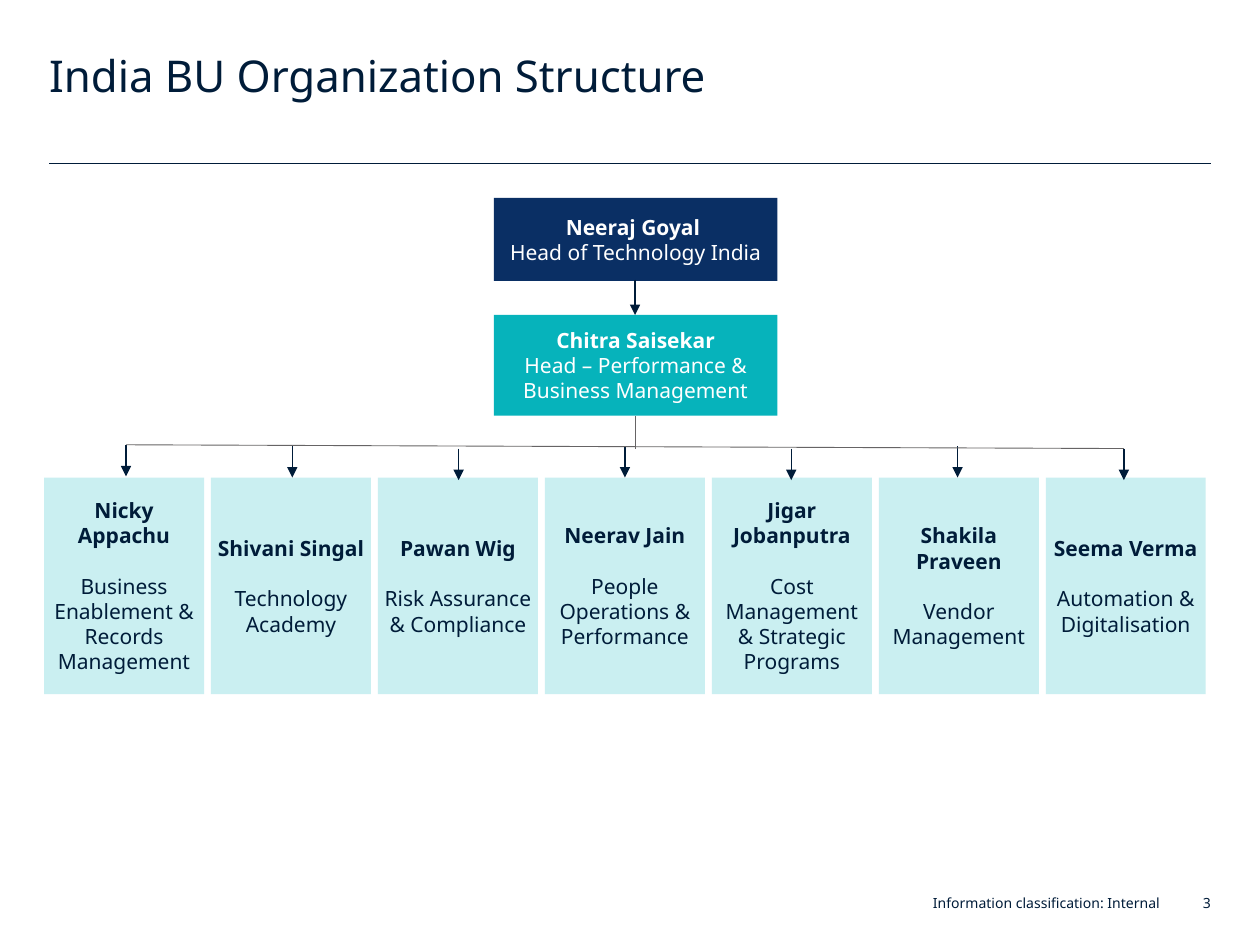
from lxml import etree
from pptx import Presentation
from pptx.dml.color import RGBColor
from pptx.enum.shapes import MSO_CONNECTOR, MSO_SHAPE
from pptx.enum.text import MSO_ANCHOR, PP_ALIGN
from pptx.oxml.ns import qn
from pptx.util import Inches, Pt

INK = RGBColor(0x00, 0x1C, 0x39)
NAVY = RGBColor(0x0A, 0x2F, 0x64)
TEAL = RGBColor(0x06, 0xB3, 0xBB)
PALE = RGBColor(0xCA, 0xEF, 0xF1)
GREY = RGBColor(0x66, 0x64, 0x65)
WHITE = RGBColor(0xFF, 0xFF, 0xFF)
LEFT, CENTER, RIGHT = PP_ALIGN.LEFT, PP_ALIGN.CENTER, PP_ALIGN.RIGHT
TOP, MIDDLE, BOTTOM = MSO_ANCHOR.TOP, MSO_ANCHOR.MIDDLE, MSO_ANCHOR.BOTTOM
STRAIGHT, RECTANGLE = MSO_CONNECTOR.STRAIGHT, MSO_SHAPE.RECTANGLE

# Name, role and height at which the arrow leaves the branch line
TEAMS = [
    ("Nicky Appachu", "Business Enablement & Records Management", 3.53),
    ("Shivani Singal", "Technology Academy", 3.54),
    ("Pawan Wig", "Risk Assurance & Compliance", 3.56),
    ("Neerav Jain", "People Operations & Performance", 3.54),
    ("Jigar Jobanputra", "Cost Management & Strategic Programs", 3.56),
    ("Shakila Praveen", "Vendor Management", 3.54),
    ("Seema Verma", "Automation & Digitalisation", 3.56),
]
CARD_LEFT, CARD_STEP = 0.35, 1.325
ARROW_LEFT, ARROW_STEP, ARROW_LENGTH = 1, 1.32, 0.25
TRUNK = 5.04


class OrgChart:
    """Holds the style and the current page."""

    font = "Noto Sans"
    body_size = 12
    line_height = Pt(14.4)

    def __init__(self, page):
        """Keep the page to draw on."""
        self.page = page

    def set_frame(self, frame, anchor, inset):
        """Set wrapping, anchor and margins of a text frame."""
        frame.word_wrap = True
        frame.vertical_anchor = anchor
        frame.margin_left = frame.margin_right = Inches(inset)
        frame.margin_top = frame.margin_bottom = Inches(inset)

    def add_span(self, para, text, size, color, align, bold=False):
        """Add one styled run to a paragraph."""
        para.alignment = align
        span = para.add_run()
        span.text = text
        span.font.name = self.font
        span.font.size = Pt(size)
        span.font.bold = bold
        span.font.color.rgb = color

    def add_text(self, left, top, width, height, text, size, align, anchor):
        """Add a one-paragraph text box and return the paragraph."""
        box = self.page.shapes.add_textbox(
            Inches(left), Inches(top), Inches(width), Inches(height))
        self.set_frame(box.text_frame, anchor, 0)
        para = box.text_frame.paragraphs[0]
        self.add_span(para, text, size, INK, align)
        return para

    def add_person(self, left, top, width, height, fill, color, name, role, gap=0):
        """Add a box with a bold name above a role."""
        box = self.page.shapes.add_shape(
            RECTANGLE, Inches(left), Inches(top), Inches(width), Inches(height))
        box.shadow.inherit = False
        box.fill.solid()
        box.fill.fore_color.rgb = fill
        box.line.fill.background()
        frame = box.text_frame
        self.set_frame(frame, MIDDLE, 0.05)
        name_para, role_para = frame.paragraphs[0], frame.add_paragraph()
        self.add_span(name_para, name, self.body_size, color, CENTER, bold=True)
        self.add_span(role_para, role, self.body_size, color, CENTER)
        name_para.line_spacing = role_para.line_spacing = self.line_height
        role_para.space_before = gap

    def add_line(self, x1, y1, x2, y2, color=INK, width=0.75, arrow=False):
        """Add a straight line, with an arrowhead at its end if asked."""
        link = self.page.shapes.add_connector(
            STRAIGHT, Inches(x1), Inches(y1), Inches(x2), Inches(y2))
        link.line.color.rgb = color
        link.line.width = Pt(width)
        properties = link.element.spPr
        if arrow:
            outline = properties.find(qn("a:ln"))
            etree.SubElement(outline, qn("a:tailEnd"), type="triangle")
        etree.SubElement(properties, qn("a:effectLst"))


def main():
    """Build the page and save the deck."""
    deck = Presentation()
    deck.slide_width, deck.slide_height = Inches(10), Inches(7.5)
    chart = OrgChart(deck.slides.add_slide(deck.slide_layouts[6]))

    chart.add_line(0.39, 1.3, 9.61, 1.3)
    title = chart.add_text(0.39, 0.39, 8.32, 0.87,
                           "India BU Organization Structure", 25, LEFT, TOP)
    title.line_spacing = Pt(30)
    chart.add_text(5.83, 7.07, 3.38, 0.16,
                   "Information classification: Internal", 8, RIGHT, BOTTOM)
    chart.add_text(9.37, 7.07, 0.24, 0.16, "3", 8, RIGHT, BOTTOM)

    chart.add_person(3.92, 1.57, 2.25, 0.66, NAVY, WHITE,
                     "Neeraj Goyal ", "Head of Technology India")
    chart.add_person(3.92, 2.5, 2.25, 0.8, TEAL, WHITE,
                     "Chitra Saisekar", "Head – Performance & Business Management")
    for index, (name, role, _) in enumerate(TEAMS):
        chart.add_person(CARD_LEFT + index * CARD_STEP, 3.79, 1.27, 1.72,
                         PALE, INK, name, role, gap=chart.line_height)

    chart.add_line(TRUNK, 2.22, TRUNK, 2.5, arrow=True)
    for index, (_, _, start) in enumerate(TEAMS):
        x = ARROW_LEFT + index * ARROW_STEP
        chart.add_line(x, start, x, start + ARROW_LENGTH, arrow=True)
    last = ARROW_LEFT + (len(TEAMS) - 1) * ARROW_STEP
    chart.add_line(ARROW_LEFT, 3.53, last, 3.56, GREY, 0.5)
    chart.add_line(TRUNK, 3.3, TRUNK, 3.56, GREY, 0.5)

    deck.save("out.pptx")


main()
